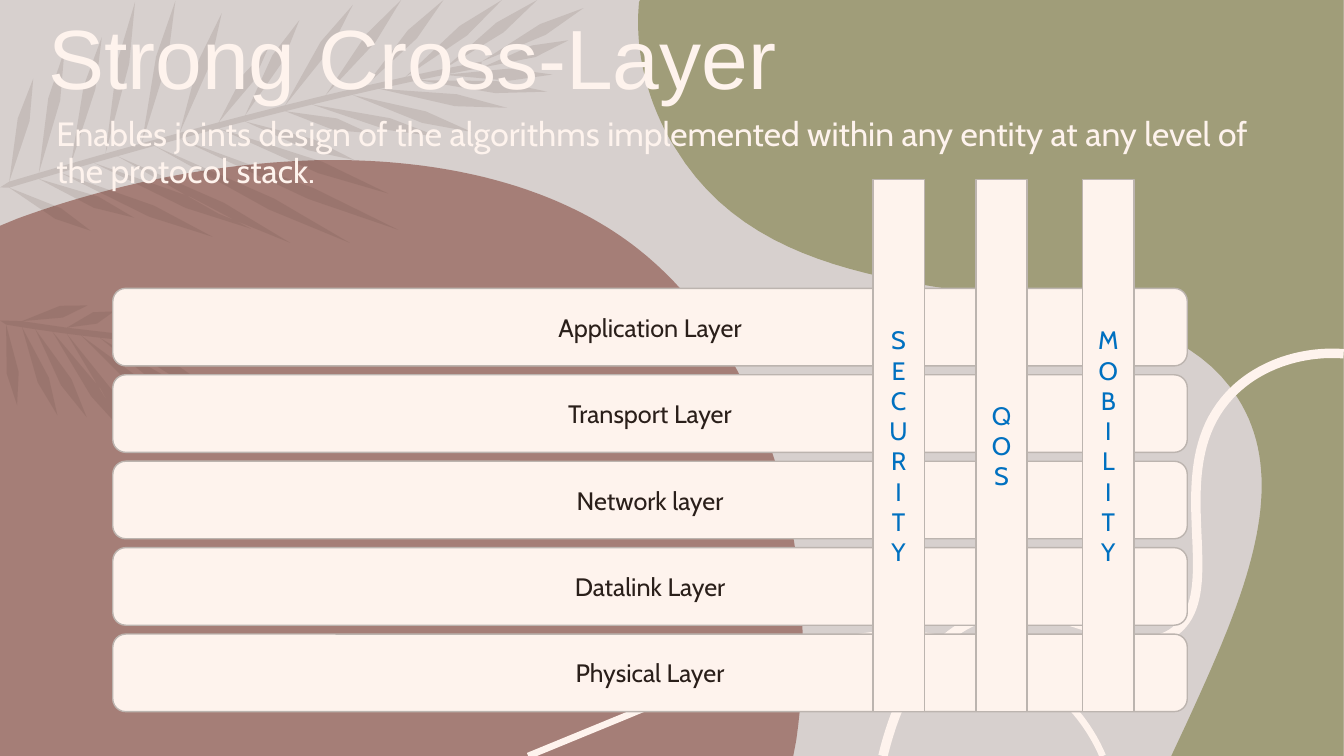
import math
import pptx
import pptx.util
import pptx.dml.color
import pptx.enum.shapes
import pptx.enum.text
import pptx.oxml.ns
from lxml import etree

Pt = pptx.util.Pt
Align = pptx.enum.text.PP_ALIGN
Anchor = pptx.enum.text.MSO_ANCHOR
Kind = pptx.enum.shapes.MSO_SHAPE

TITLE = "Strong Cross-Layer"
INTRO = ("Enables joints design of the algorithms implemented within any entity "
         "at any level of the protocol stack.")
LAYERS = ["Application Layer", "Transport Layer", "Network layer",
          "Datalink Layer", "Physical Layer"]
# Pillar left edge and its paragraphs; narrow pillars wrap each letter
PILLARS = [(623.5, ["S", "E", "CUR", "I", "T", "Y"]),
           (697, ["QOS"]),
           (773.3, ["MOB", "I", "L", "I", "T", "Y"])]
CREAM, EDGE, INK, BLUE = "FEF3ED", "BCB4AF", "2A1F1A", "0070C0"

# Outlines on a grid of 0.72 pt: a pair is a corner, six numbers are a curve
UNIT = 0.72
ROSE = [(312, 159), (436, 156, 552, 183, 633, 247), (758, 345, 817, 545, 790, 734),
        (787, 750), (0, 750), (0, 224), (17, 217), (112, 182, 215, 162, 312, 159)]
OLIVE = [(635, 0), (1333, 0), (1333, 750), (1162, 750), (1177, 718),
         (1230, 602, 1284, 483, 1228, 395), (1129, 237, 795, 354, 670, 147),
         (660, 132, 627, 74, 634, 2)]
LOW = [(524, 750), (619, 711), (777, 645, 845, 629, 887, 629),
       (970, 629, 1060, 670, 1094, 750)]
HIGH = [(876, 750), (891, 689, 918, 639, 964, 617),
        (1045, 580, 1119, 663, 1166, 626), (1219, 585, 1151, 466, 1220, 392),
        (1250, 360, 1295, 348, 1333, 351)]
# Fronds: stem curve, then leaf tips above it and below it, each from base to end
FRONDS = [
    ([(0, 186), (120, 150, 330, 90, 490, 62)],
     [(33, 78), (64, 50), (101, 37), (134, 2), (174, 1), (220, 13), (266, 48),
      (297, 20), (350, 5), (398, 0), (440, 0), (498, 0), (533, 0), (579, 8)],
     [(90, 229), (133, 216), (211, 235), (249, 227), (288, 241), (347, 241),
      (395, 228), (385, 192), (352, 159), (366, 132), (436, 136), (468, 131),
      (503, 107), (543, 91), (548, 74), (564, 40)]),
    ([(0, 318), (40, 325, 90, 332, 140, 336)],
     [(87, 303), (113, 309), (164, 327)],
     [(17, 402), (57, 412), (86, 414), (124, 430), (149, 450), (181, 419),
      (208, 411), (208, 385), (196, 344)])]


def color(code):
    return pptx.dml.color.RGBColor.from_string(code)


def paint(shape, fill=None, line=None, width=1, alpha=None):
    shape.shadow.inherit = False
    if fill:
        shape.fill.solid()
        shape.fill.fore_color.rgb = color(fill)
        if alpha:
            tone = shape.fill._xPr.find(".//" + pptx.oxml.ns.qn("a:srgbClr"))
            etree.SubElement(tone, pptx.oxml.ns.qn("a:alpha"), val=str(alpha * 1000))
    else:
        shape.fill.background()
    if line:
        shape.line.color.rgb = color(line)
        shape.line.width = Pt(width)
    else:
        shape.line.fill.background()


def write(shape, paras, size=18, font="Cabin", tint=INK, align=Align.CENTER,
          anchor=Anchor.MIDDLE, space=None, before=0):
    frame = shape.text_frame
    frame.word_wrap = True
    frame.vertical_anchor = anchor
    for i, text in enumerate(paras):
        para = frame.add_paragraph() if i else frame.paragraphs[0]
        para.alignment, para.line_spacing = align, space
        para.space_before = Pt(before)
        run = para.add_run()
        run.text = text
        run.font.size, run.font.name = Pt(size), font
        run.font.color.rgb = color(tint)


def trace(parts, steps=40):
    """Turn corners and cubic curves into a list of points."""
    dots = []
    for part in parts:
        if len(part) == 2:
            dots.append(part)
            continue
        ends = [dots[-1], part[:2], part[2:4], part[4:]]
        for n in range(1, steps + 1):
            t = n / steps
            mix = ((1 - t) ** 3, 3 * t * (1 - t) ** 2, 3 * t * t * (1 - t), t ** 3)
            dots.append(tuple(sum(m * e[k] for m, e in zip(mix, ends)) for k in (0, 1)))
    return dots


def leaves(stem, tips, shift, half=6):
    """Slim leaves from evenly spaced roots on one side of the stem."""
    dots = []
    for i, (x, y) in enumerate(tips):
        a, b = stem[round((i + 0.5) / len(tips) * (len(stem) - 1))]
        b += shift
        dx, dy = x - a, y - b
        size = math.hypot(dx, dy)
        side, rise = half * dy / size, -half * dx / size
        p, q = a + 0.6 * dx, b + 0.6 * dy
        dots += [(a, b), (p + side, q + rise), (x, y), (p - side, q - rise), (a, b)]
    return dots


def frond(curve, above, below):
    stem = trace(curve)
    # Leaves below are listed from the base but drawn back towards it
    return ([stem[0]] + leaves(stem, above, -3)
            + leaves(stem[::-1], below[::-1], 3))


def outline(loops, close=True, **look):
    pen = None
    for loop in loops:
        dots = [(Pt(x * UNIT), Pt(y * UNIT)) for x, y in loop]
        if pen is None:
            pen = shapes.build_freeform(*dots[0], scale=1.0)
        else:
            pen.move_to(*dots[0])
        pen.add_line_segments(dots[1:], close=close)
    paint(pen.convert_to_shape(), **look)


def box(kind, left, top, wide, tall):
    shape = shapes.add_shape(kind, Pt(left), Pt(top), Pt(wide), Pt(tall))
    paint(shape, fill=CREAM, line=EDGE)
    return shape


deck = pptx.Presentation()
deck.slide_width, deck.slide_height = Pt(960), Pt(540)
slide = deck.slides.add_slide(deck.slide_layouts[6])
shapes = slide.shapes

# Backdrop
slide.background.fill.solid()
slide.background.fill.fore_color.rgb = color("D7D0CE")
outline([trace(ROSE)], fill="814439", alpha=58)
outline([frond(*parts) for parts in FRONDS], fill="543E34", alpha=13)
outline([trace(OLIVE)], fill="A09D79")
for curve, width in ((LOW, 4.75), (HIGH, 6.75)):
    outline([trace(curve)], close=False, line=CREAM, width=width)

# Heading
head = shapes.add_textbox(Pt(27.4), Pt(12.2), Pt(899.3), Pt(68.4))
write(head, [TITLE], size=60, font="Arial", tint=CREAM, align=Align.LEFT,
      anchor=Anchor.BOTTOM, space=0.9)
intro = shapes.add_textbox(Pt(33.1), Pt(80.6), Pt(869.8), Pt(151.2))
write(intro, [INTRO], size=24, tint=CREAM, align=Align.LEFT,
      anchor=Anchor.TOP, space=0.9, before=10)

# Protocol layers
for i, name in enumerate(LAYERS):
    write(box(Kind.ROUNDED_RECTANGLE, 80.6, 206 + i * 61.74, 767.5, 55.4), [name])

# Pillars across all layers
for left, paras in PILLARS:
    write(box(Kind.RECTANGLE, left, 128.2, 36.7, 380.2), paras, tint=BLUE)

deck.save("out.pptx")
